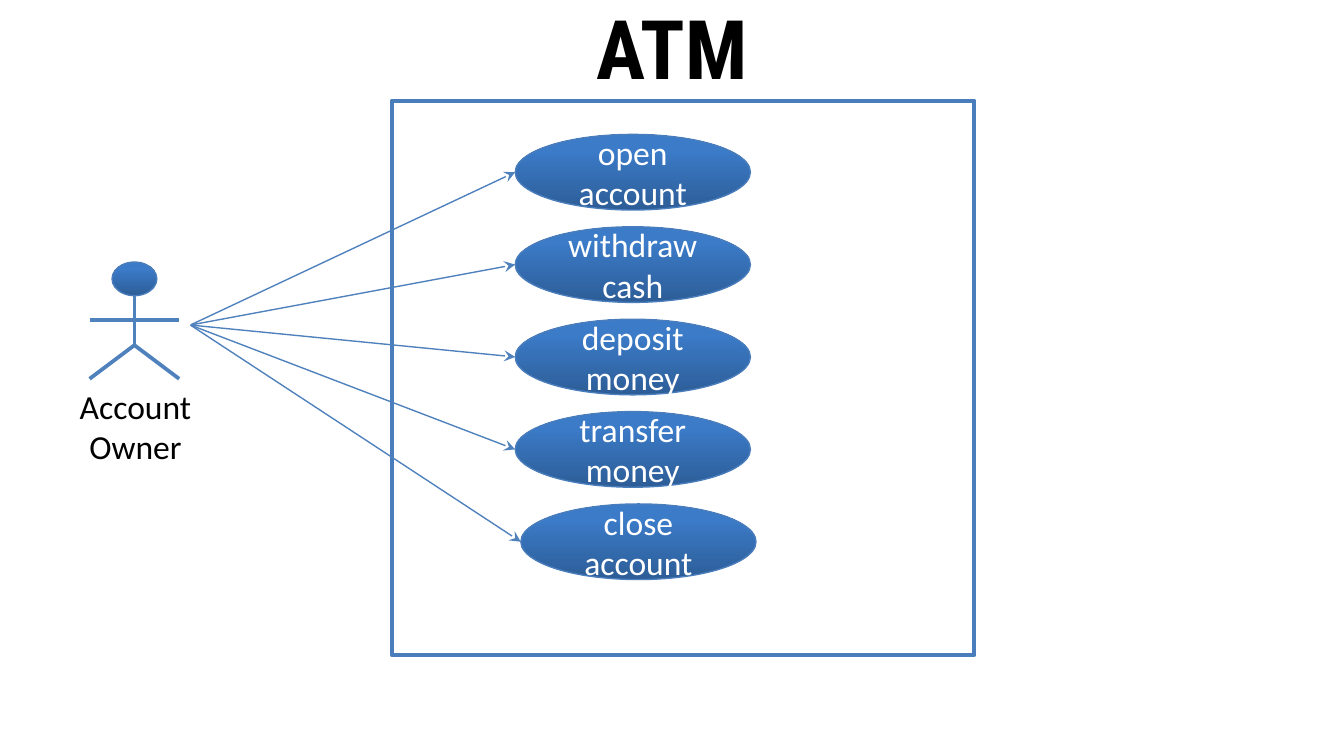
from copy import deepcopy
from dataclasses import dataclass

from lxml.etree import SubElement
from pptx import Presentation
from pptx.dml.color import RGBColor
from pptx.enum.shapes import MSO_CONNECTOR, MSO_SHAPE
from pptx.enum.text import MSO_ANCHOR, PP_ALIGN
from pptx.oxml.ns import qn
from pptx.util import Inches, Pt

WIDTH, HEIGHT = Inches(10), Inches(5.625)
COLUMNS, ROWS = 120, 90
OUTLINE, STROKE, WHITE, BLACK = "4A7DBB", "4F81BD", "FFFFFF", "000000"
GRADIENT = ((0, "2D5D97"), (0.8, "3B7BC8"), (1, "3A7CCA"))


@dataclass(frozen=True)
class Point:
    column: float
    row: float

    def emu(self) -> tuple[int, int]:
        return round(self.column * WIDTH / COLUMNS), round(self.row * HEIGHT / ROWS)


@dataclass(frozen=True)
class Area:
    column: float
    row: float
    columns: float
    rows: float

    def emu(self) -> tuple[int, int, int, int]:
        return Point(self.column, self.row).emu() + Point(self.columns, self.rows).emu()

    def left_middle(self) -> Point:
        return Point(self.column, self.row + self.rows / 2)


@dataclass(frozen=True)
class UseCase:
    name: str
    area: Area


def color(value: str) -> RGBColor:
    return RGBColor.from_string(value)


def write(frame, text: str, size: float, font: str, ink: str,
          bold: bool = False, anchor=MSO_ANCHOR.MIDDLE) -> None:
    frame.text = text
    frame.word_wrap = True
    frame.vertical_anchor = anchor
    for paragraph in frame.paragraphs:
        paragraph.alignment = PP_ALIGN.CENTER
        for run in paragraph.runs:
            run.font.size = Pt(size)
            run.font.name = font
            run.font.bold = bold
            run.font.color.rgb = color(ink)


def add_plain(shapes, kind, area: Area, outline_width: float = 0):
    shape = shapes.add_shape(kind, *area.emu())
    shape.shadow.inherit = False
    shape.fill.solid()
    shape.fill.fore_color.rgb = color(WHITE)
    if outline_width:
        shape.line.color.rgb = color(OUTLINE)
        shape.line.width = Pt(outline_width)
    else:
        shape.line.fill.background()
    return shape


def add_shaded_oval(shapes, area: Area):
    oval = add_plain(shapes, MSO_SHAPE.OVAL, area, 0.75)
    oval.fill.gradient()
    oval.fill.gradient_angle = 90
    stops = oval._element.spPr.find(qn("a:gradFill")).find(qn("a:gsLst"))
    stops.insert(1, deepcopy(stops[0]))
    for stop, (position, tone) in zip(oval.fill.gradient_stops, GRADIENT):
        stop.position = position
        stop.color.rgb = color(tone)
    return oval


def add_line(shapes, start: Point, end: Point, width: float, arrow: bool = False) -> None:
    line = shapes.add_connector(MSO_CONNECTOR.STRAIGHT, *start.emu(), *end.emu())
    line.line.color.rgb = color(STROKE)
    line.line.width = Pt(width)
    if arrow:
        SubElement(line.line._get_or_add_ln(), qn("a:tailEnd"), type="stealth")
    SubElement(line._element.spPr, qn("a:effectLst"))


def add_actor(shapes, name: str) -> None:
    actor = shapes.add_group_shape().shapes
    for hand in (Area(14, 37.1, 3, 3), Area(7, 37, 3, 3)):
        add_plain(actor, MSO_SHAPE.OVAL, hand)
    add_shaded_oval(actor, Area(10, 31.2, 4, 4))
    neck, hips = Point(12, 35.2), Point(12, 41.1)
    limbs = (
        (neck, hips),
        (hips, Point(8, 45.1)),
        (hips, Point(16, 45.1)),
        (Point(8, 38.1), Point(16, 38.1)),
    )
    for start, end in limbs:
        add_line(actor, start, end, 2)
    caption = actor.add_textbox(*Area(5.85, 45.1, 12.5, 8.5).emu())
    write(caption.text_frame, name, 18, "Calibri", BLACK, anchor=MSO_ANCHOR.TOP)


def main() -> None:
    deck = Presentation()
    deck.slide_width, deck.slide_height = WIDTH, HEIGHT
    slide = deck.slides.add_slide(deck.slide_layouts[5])
    shapes = slide.shapes

    title = shapes.title
    title.left, title.top, title.width, title.height = Area(6, 0, 108, 11).emu()
    write(title.text_frame, "ATM", 44, "Roboto Condensed", BLACK, bold=True)

    add_plain(shapes, MSO_SHAPE.RECTANGLE, Area(35, 12, 52, 66), 2.25)

    names = ("open account", "withdraw cash", "deposit money",
             "transfer money", "close account")
    last = len(names) - 1
    use_cases = [
        UseCase(name, Area(46.5 if i == last else 46, 16 + 11 * i, 21, 9))
        for i, name in enumerate(names)
    ]
    for use_case in use_cases:
        add_line(shapes, Point(17, 38.7), use_case.area.left_middle(), 0.75, arrow=True)
    for use_case in use_cases:
        oval = add_shaded_oval(shapes, use_case.area)
        write(oval.text_frame, use_case.name, 18, "Calibri", WHITE)

    add_actor(shapes, "Account\nOwner")
    deck.save("out.pptx")


if __name__ == "__main__":
    main()
